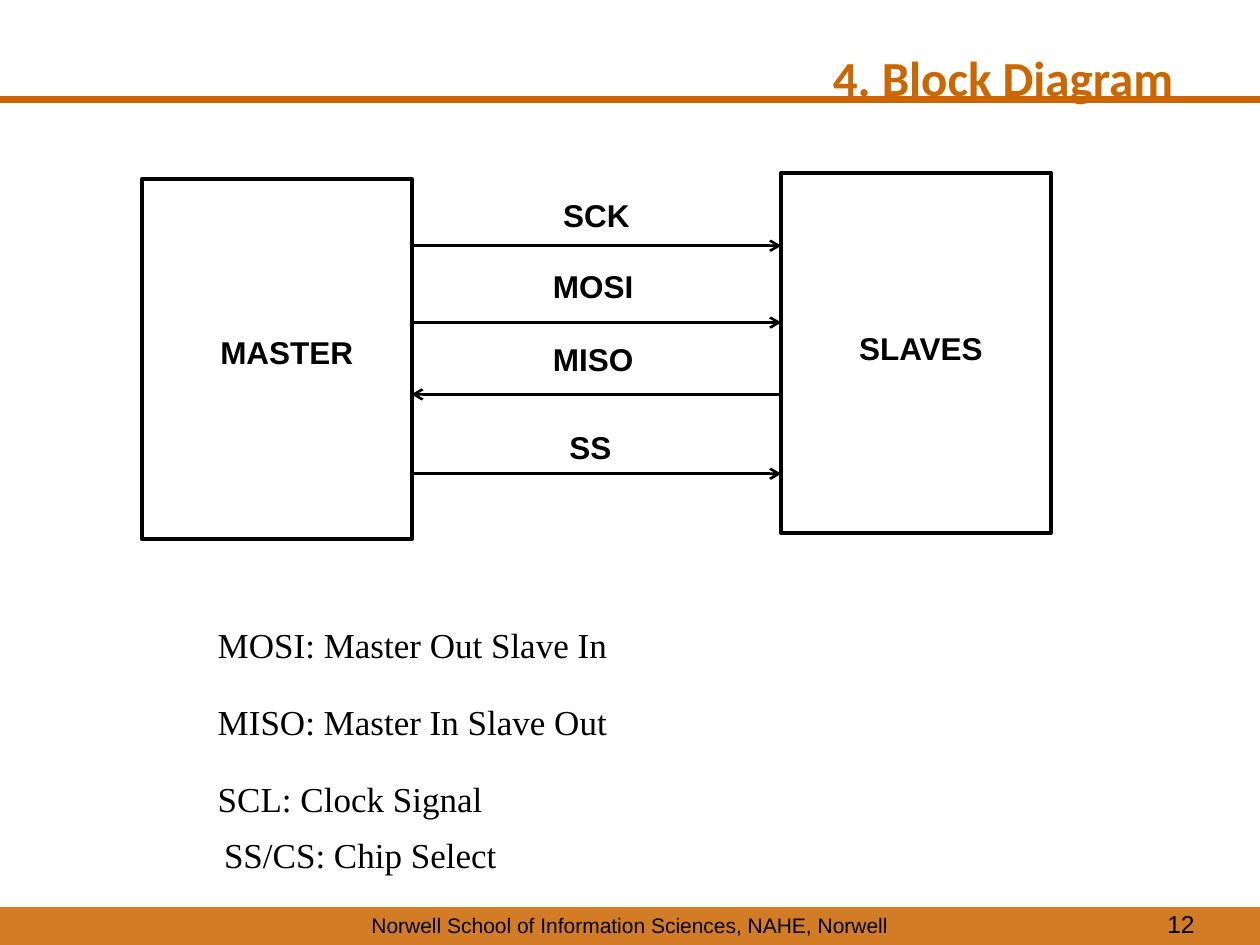
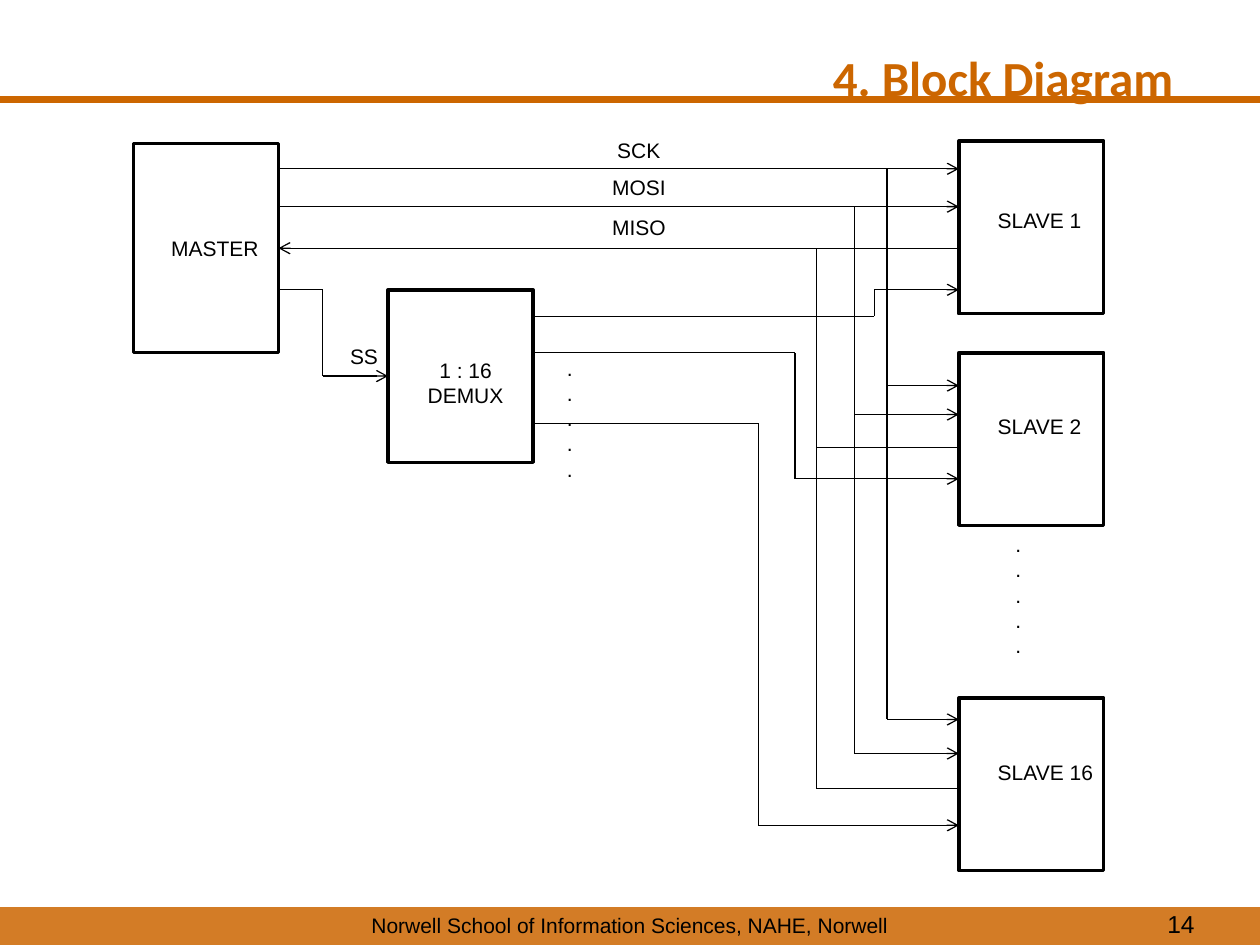
from itertools import pairwise

from lxml.etree import SubElement
from pptx import Presentation
from pptx.dml.color import RGBColor
from pptx.enum.shapes import MSO_CONNECTOR, MSO_SHAPE
from pptx.enum.text import MSO_ANCHOR, PP_ALIGN
from pptx.oxml.ns import qn
from pptx.util import Inches, Pt

WIDTH, HEIGHT = Inches(10), Inches(7.5)
CELL = WIDTH // 100
ORANGE, BLACK = "CC6600", "000000"
FOOTER = "Norwell School of Information Sciences, NAHE, Norwell"
LEFT, RIGHT = 1, 3


def color(value):
    return RGBColor.from_string(value)


def cells(*values):
    return [round(v * CELL) for v in values]


def write(tf, text, size=12, font="Arial", fill=BLACK, bold=False,
          align=PP_ALIGN.LEFT, anchor=MSO_ANCHOR.TOP, wrap=True):
    tf.word_wrap = wrap
    tf.vertical_anchor = anchor
    for i, line in enumerate(text.split("\n")):
        p = tf.add_paragraph() if i else tf.paragraphs[0]
        p.alignment = align
        r = p.add_run()
        r.text = line
        r.font.size = Pt(size)
        r.font.name = font
        r.font.bold = bold
        r.font.color.rgb = color(fill)
    return tf


def add_text(s, box, text, **fmt):
    sp = s.shapes.add_textbox(*cells(*box))
    return write(sp.text_frame, text, **fmt)


def add_block(s, box, width):
    sp = s.shapes.add_shape(MSO_SHAPE.RECTANGLE, *cells(*box))
    sp.shadow.inherit = False
    sp.fill.background()
    sp.line.color.rgb = color(BLACK)
    sp.line.width = Pt(width)
    return sp


def add_line(s, start, end, width=0.75, fill=BLACK, arrow=False):
    line = s.shapes.add_connector(MSO_CONNECTOR.STRAIGHT, *cells(*start, *end))
    line.line.color.rgb = color(fill)
    line.line.width = Pt(width)
    if arrow:
        SubElement(line.line._get_or_add_ln(), qn("a:tailEnd"), type="arrow")
    SubElement(line._element.spPr, qn("a:effectLst"))
    return line


def add_route(s, points, arrow=True):
    for i, (start, end) in enumerate(pairwise(points), 2):
        line = add_line(s, start, end, arrow=arrow and i == len(points))
    return line


def add_band(s):
    sp = s.shapes.add_shape(MSO_SHAPE.RECTANGLE, *cells(0, 72, 100, 3))
    sp.shadow.inherit = False
    sp.fill.solid()
    sp.fill.fore_color.rgb = color(ORANGE)
    sp.line.fill.background()
    tint = sp._element.spPr.find(f".//{qn('a:srgbClr')}")
    SubElement(tint, qn("a:alpha"), val="85000")


def add_slide(prs, title, number):
    s = prs.slides.add_slide(prs.slide_layouts[5])
    sp = s.shapes.title
    sp.left, sp.top, sp.width, sp.height = cells(5, 3, 90, 12.5)
    tf = write(sp.text_frame, title, size=28, font="Calibri", fill=ORANGE,
               bold=True, align=PP_ALIGN.RIGHT)
    tf.margin_top, tf.margin_right = cells(0.8, 1.9)
    add_line(s, (0, 7.9), (100.3, 7.9), width=4.5, fill=ORANGE)
    add_band(s)
    add_text(s, (0, 71.9, 100, 3), FOOTER, align=PP_ALIGN.CENTER)
    add_text(s, (72.5, 71.7, 23.3, 3.3), number, size=14,
             align=PP_ALIGN.RIGHT, anchor=MSO_ANCHOR.MIDDLE)
    return s


def add_legend(s):
    lines = ["MOSI: Master Out Slave In", "MISO: Master In Slave Out",
             "SCL: Clock Signal", "SS/CS: Chip Select"]
    tf = add_text(s, (11.3, 47.3, 56.3, 22.9), "\n".join(lines), size=20,
                  font="Times New Roman")
    *spaced, last = tf.paragraphs
    for p in spaced:
        p.line_spacing = 1.5
        p.space_after = Pt(8)
        p._p.get_or_add_pPr().set("indent", str(Inches(0.5)))
    last._p.get_or_add_pPr().set("indent", str(Inches(0.55)))


def draw_single_slave(s):
    add_legend(s)
    master_edge, slave_edge = 32.65, 62
    for box in ((11.3, 14.2, 21.4, 28.6), (62, 13.7, 21.4, 28.6)):
        add_block(s, box, 2.25)
    for name, x, y, w in (("MASTER", 16.5, 25.9, 12.9),
                          ("SLAVES", 67.2, 25.6, 14.4),
                          ("SCK", 43.7, 15.1, 9.9), ("MOSI", 42.9, 20.7, 9.4),
                          ("MISO", 42.9, 26.5, 9.4), ("SS", 44.2, 33.5, 6.2)):
        add_text(s, (x, y, w, 4), name, size=18, bold=True)
    for y in (19.5, 25.6, 37.6):
        add_line(s, (master_edge, y), (slave_edge, y), width=1.5, arrow=True)
    add_line(s, (slave_edge, 31.3), (master_edge, 31.3), width=1.5, arrow=True)


def draw_sixteen_slaves(s):
    master_edge, demux_edge, slave_edge = 22.15, 42.3, 76.1
    slave_tops = {"SLAVE 1": 11.2, "SLAVE 2": 28, "SLAVE 16": 55.4}
    master = add_block(s, (10.6, 11.4, 11.5, 16.6), 2)
    demux = add_block(s, (30.8, 23, 11.5, 13.7), 2)
    for name, top in slave_tops.items():
        add_block(s, (slave_edge, top, 11.5, 13.7), 2)
        add_text(s, (78.2, top + (4.8 if top < 20 else 4.35), 9.2, 3), name, wrap=True
                 ).margin_right = 0

    for bus_x, first, *taps in ((70.4, 13.4, 30.6, 57.1),
                                (67.8, 16.4, 32.9, 59.8)):
        add_line(s, (master_edge, first), (slave_edge, first), arrow=True)
        add_line(s, (bus_x, first), (bus_x, taps[-1]))
        for y in taps:
            add_line(s, (bus_x, y), (slave_edge, y), arrow=True)

    miso_x, miso_y, *miso_taps = 64.8, 19.7, 35.5, 62.6
    miso = add_line(s, (slave_edge, miso_y), (master_edge, miso_y), arrow=True)
    miso.end_connect(master, RIGHT)
    add_line(s, (miso_x, miso_y), (miso_x, miso_taps[-1]))
    for y in miso_taps:
        add_line(s, (miso_x, y), (slave_edge, y))

    select = add_route(s, [(master_edge, 23), (25.6, 23), (25.6, 29.85),
                           (30.8, 29.85)])
    select.end_connect(demux, LEFT)
    for y, bend, end in ((25.1, 69.4, 23), (28, 63.1, 38), (33.6, 60.2, 65.5)):
        add_route(s, [(demux_edge, y), (bend, y), (bend, end),
                      (slave_edge, end)])

    for name, x, y, w in (("MASTER", 12.6, 18.2, 9), ("SCK", 48, 10.4, 6.4),
                          ("MOSI", 47.6, 13.4, 6.3), ("MISO", 47.6, 16.5, 6.3),
                          ("SS", 26.8, 26.8, 4.3)):
        add_text(s, (x, y, w, 3), name, wrap=False)
    add_text(s, (32.9, 27.9, 8.1, 5), "1 : 16\nDEMUX",
             align=PP_ALIGN.CENTER, wrap=False)
    for x, y in ((79.6, 41.7), (44, 27.7)):
        add_text(s, (x, y, 5.6, 11.1), "\n".join("." * 5))


def main():
    prs = Presentation()
    prs.slide_width, prs.slide_height = WIDTH, HEIGHT
    title = "4. Block Diagram"
    draw_single_slave(add_slide(prs, title, "12"))
    draw_sixteen_slaves(add_slide(prs, title, "14"))
    prs.save("out.pptx")


if __name__ == "__main__":
    main()
